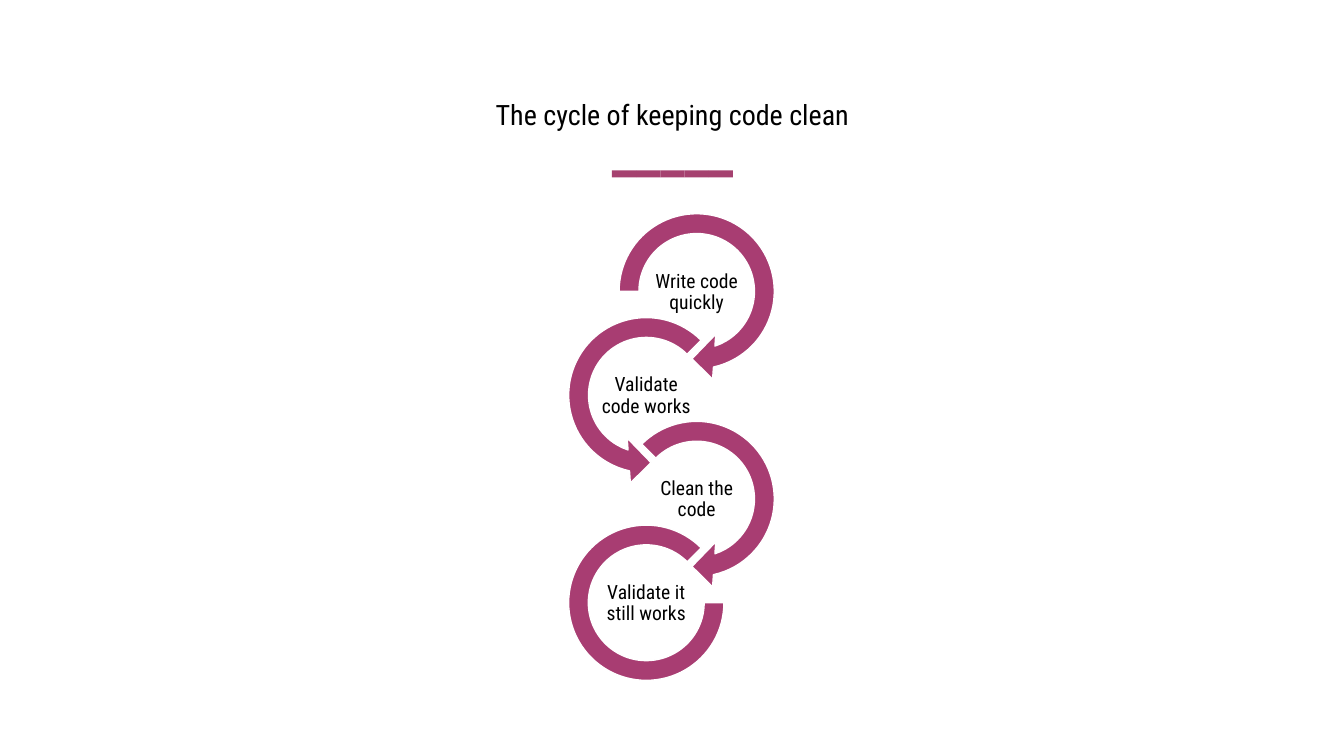
import pptx
import pptx.util
import pptx.dml.color
import pptx.enum.shapes
import pptx.enum.text

Inches = pptx.util.Inches
Pt = pptx.util.Pt
RGBColor = pptx.dml.color.RGBColor
MSO_SHAPE = pptx.enum.shapes.MSO_SHAPE

BAR_PLUM = RGBColor(0xA5, 0x41, 0x6F)
ARROW_PLUM = RGBColor(0xA8, 0x3D, 0x72)
WHITE = RGBColor(0xFF, 0xFF, 0xFF)
BLACK = RGBColor(0x00, 0x00, 0x00)


def add_filled_shape(kind, left, top, width, height, color):
    shape = slide.shapes.add_shape(
        kind, Inches(left), Inches(top), Inches(width), Inches(height)
    )
    shape.shadow.inherit = False
    shape.fill.solid()
    shape.fill.fore_color.rgb = color
    return shape


def write_text(shape, text, size, frame_format):
    frame = shape.text_frame
    frame.text = text
    frame.word_wrap = True
    frame.auto_size = pptx.enum.text.MSO_AUTO_SIZE.NONE
    frame.vertical_anchor = pptx.enum.text.MSO_ANCHOR.MIDDLE
    for name, value in frame_format.items():
        setattr(frame, name, value)
    paragraph = frame.paragraphs[0]
    paragraph.alignment = pptx.enum.text.PP_ALIGN.CENTER
    paragraph.line_spacing = 0.9
    font = paragraph.runs[0].font
    for name, value in {"name": "Roboto Condensed", "size": Pt(size)}.items():
        setattr(font, name, value)
    font.color.rgb = BLACK


presentation = pptx.Presentation()
presentation.slide_width = Inches(13.33)
presentation.slide_height = Inches(7.5)
slide = presentation.slides.add_slide(presentation.slide_layouts[5])

title = slide.shapes.title
title_place = {"left": 0.92, "top": 0.89, "width": 11.5, "height": 0.52}
for name, value in title_place.items():
    setattr(title, name, Inches(value))
write_text(title, "The cycle of keeping code clean", 20, {})

BAR_WIDTH = 0.24
for index in range(5):
    bar = add_filled_shape(
        MSO_SHAPE.RECTANGLE, 6.07 + index * BAR_WIDTH, 1.69, BAR_WIDTH, 0.07, BAR_PLUM
    )
    bar.line.fill.background()

RIGHT, LEFT = 6.91, 6.41
FIRST_CENTER, STEP = 2.89, 1.03
LABEL_INSETS = {
    f"margin_{side}": Inches(0.01) for side in ("left", "top", "right", "bottom")
}
stages = [
    ("Write code quickly", RIGHT, MSO_SHAPE.CIRCULAR_ARROW, 1.79,
     (0.11, 11.42, 45, 108, 0.125)),
    ("Validate code works", LEFT, MSO_SHAPE.LEFT_CIRCULAR_ARROW, 1.79,
     (0.11, 11.42, 63, 189, 0.125)),
    ("Clean the code", RIGHT, MSO_SHAPE.CIRCULAR_ARROW, 1.79,
     (0.11, 11.42, 45, 135, 0.125)),
    ("Validate it still works", LEFT, MSO_SHAPE.BLOCK_ARC, 1.54,
     (0, 189, 0.127)),
]
for index, (text, center_x, kind, size, adjustments) in enumerate(stages):
    center_y = FIRST_CENTER + index * STEP
    arrow = add_filled_shape(
        kind, center_x - size / 2, center_y - size / 2, size, size, ARROW_PLUM
    )
    arrow.line.color.rgb = WHITE
    arrow.line.width = Pt(1)
    for position, value in enumerate(adjustments):
        arrow.adjustments[position] = value
    label = slide.shapes.add_textbox(
        Inches(center_x - 0.5), Inches(center_y - 0.24), Inches(1), Inches(0.5)
    )
    write_text(label, text, 14, LABEL_INSETS)

presentation.save("out.pptx")
